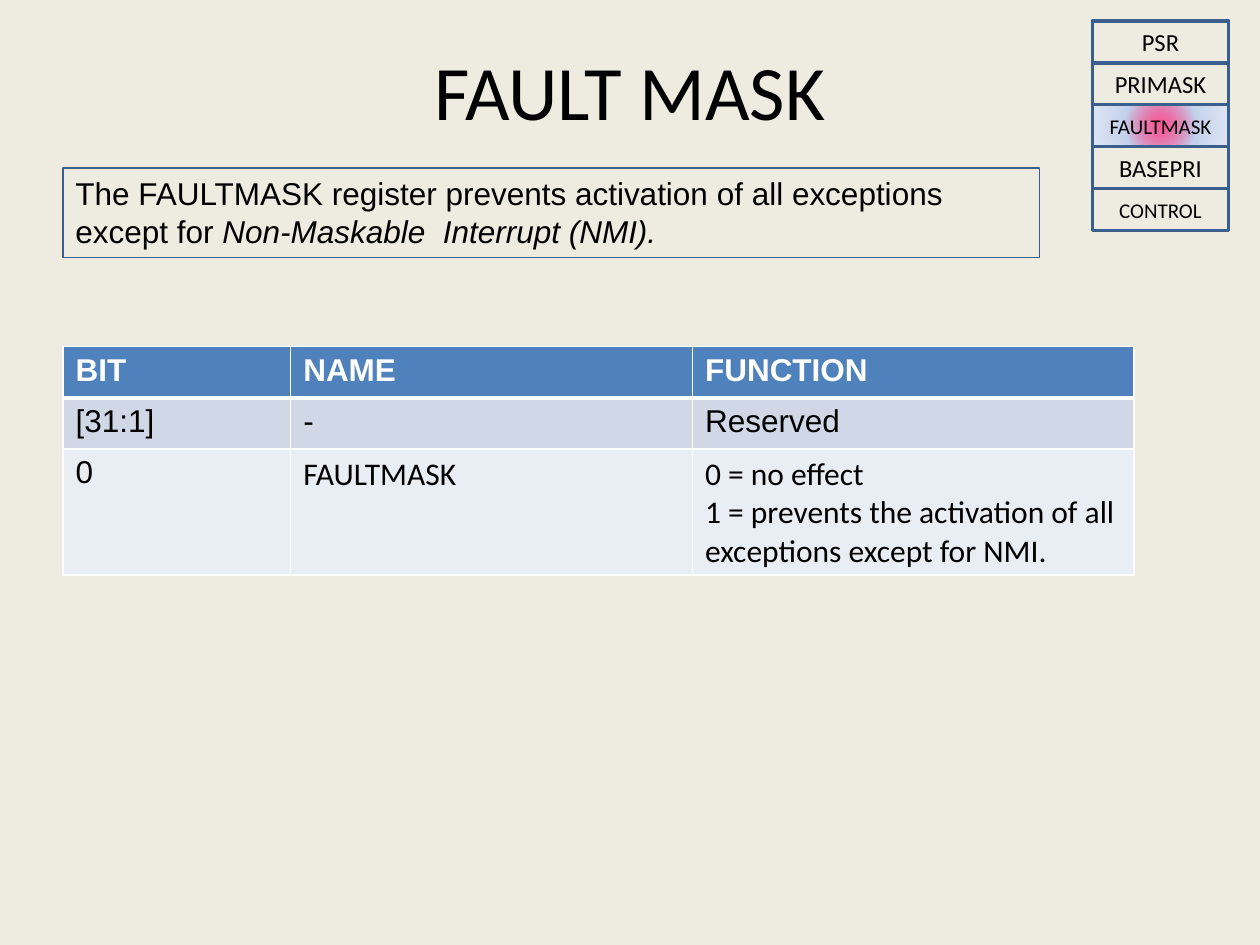
from lxml import etree
from pptx import Presentation
from pptx.dml.color import RGBColor
from pptx.enum import shapes, text
from pptx.oxml import parse_xml
from pptx.oxml.ns import nsdecls, qn
from pptx.util import Cm, Pt

EDGE = "3A5F8C"
GLOW = f"""<a:gradFill {nsdecls("a")} rotWithShape="1"><a:gsLst>
<a:gs pos="0"><a:srgbClr val="FF0066"><a:alpha val="62000"/></a:srgbClr></a:gs>
<a:gs pos="50000"><a:srgbClr val="C2D1ED"/></a:gs>
<a:gs pos="100000"><a:srgbClr val="E1E8F5"/></a:gs></a:gsLst>
<a:path path="circle"><a:fillToRect l="50000" t="50000" r="50000" b="50000"/></a:path>
</a:gradFill>"""


def rgb(code):
    return RGBColor.from_string(code)


def style(frame, size, face, tint="000000", bold=False, align=text.PP_ALIGN.LEFT):
    """Format every run of a text frame alike."""
    for para in frame.paragraphs:
        para.alignment = align
        for run in para.runs:
            font = run.font
            font.size, font.name, font.bold = Pt(size), face, bold
            font.color.rgb = rgb(tint)


def add_box(slide, x, y, w, h, line):
    """Add an unfilled rectangle with an outline of the given points."""
    box = slide.shapes.add_shape(
        shapes.MSO_SHAPE.RECTANGLE, Cm(x), Cm(y), Cm(w), Cm(h))
    box.shadow.inherit = False
    box.fill.background()
    box.line.color.rgb = rgb(EDGE)
    box.line.width = Pt(line)
    box.text_frame.word_wrap = True
    return box


def add_title(slide, x, y, w, h):
    frame = slide.shapes.add_textbox(Cm(x), Cm(y), Cm(w), Cm(h)).text_frame
    frame.word_wrap = True
    frame.vertical_anchor = text.MSO_ANCHOR.MIDDLE
    frame.text = "FAULT MASK"
    style(frame, 44, "Calibri", align=text.PP_ALIGN.CENTER)


def add_stack(slide, x, y, w, h):
    """Stack the special registers, with the current one glowing."""
    names = {"PSR": 14, "PRIMASK": 14, "FAULTMASK": 12,
             "BASEPRI": 14, "CONTROL": 12}
    step = h / len(names)
    for i, (name, size) in enumerate(names.items()):
        box = add_box(slide, x, y + i * step, w, step, 2)
        if name == "FAULTMASK":
            blank = box.fill._xPr.find(qn("a:noFill"))
            blank.getparent().replace(blank, parse_xml(GLOW))
        frame = box.text_frame
        frame.vertical_anchor = text.MSO_ANCHOR.MIDDLE
        frame.text = name
        style(frame, size, "Calibri", align=text.PP_ALIGN.CENTER)


def add_note(slide, x, y, w, h):
    frame = add_box(slide, x, y, w, h, 0.75).text_frame
    frame.vertical_anchor = text.MSO_ANCHOR.TOP
    frame.text = ("The FAULTMASK register prevents activation of all "
                  "exceptions except for ")
    term = frame.paragraphs[0].add_run()
    term.text = "Non-Maskable  Interrupt (NMI)."
    style(frame, 18, "Arial")
    term.font.italic = True


def add_rules(cell, base):
    """Give a cell white borders, with a base of the given points."""
    props = cell._tc.get_or_add_tcPr()
    for side, width in zip("LRTB", (1, 1, 1, base)):
        rule = etree.SubElement(props, qn(f"a:ln{side}"), w=str(Pt(width)))
        fill = etree.SubElement(rule, qn("a:solidFill"))
        etree.SubElement(fill, qn("a:srgbClr"), val="FFFFFF")


def add_bits(slide, x, y, cols, rows):
    """Add the table of register bits."""
    data = [("BIT", "NAME", "FUNCTION"),
            ("[31:1]", "-", "Reserved"),
            ("0", "FAULTMASK", "0 = no effect\n1 = prevents the activation "
             "of all exceptions except for NMI.")]
    fills = ["4F81BD", "D0D8E8", "E9EDF4"]
    table = slide.shapes.add_table(len(rows), len(cols), Cm(x), Cm(y),
                                   Cm(sum(cols)), Cm(sum(rows))).table
    for col, w in zip(table.columns, cols):
        col.width = Cm(w)
    for r, (row, h) in enumerate(zip(table.rows, rows)):
        row.height = Cm(h)
        head = r == 0
        for c, cell in enumerate(row.cells):
            add_rules(cell, 3 if head else 1)
            cell.fill.solid()
            cell.fill.fore_color.rgb = rgb(fills[r])
            cell.text_frame.text = data[r][c]
            face = "Calibri" if r == 2 and c > 0 else "Arial"
            style(cell.text_frame, 18, face,
                  "FFFFFF" if head else "000000", head)


def main():
    deck = Presentation()
    deck.slide_width, deck.slide_height = Cm(25.4), Cm(19.05)
    slide = deck.slides.add_slide(deck.slide_layouts[6])
    slide.background.fill.solid()
    slide.background.fill.fore_color.rgb = rgb("EEECE1")
    add_title(slide, 1.27, 0.43, 22.86, 2.74)
    add_stack(slide, 22.02, 0.42, 2.75, 4.23)
    add_note(slide, 1.27, 3.39, 19.69, 1.8)
    add_bits(slide, 1.27, 6.99, (4.59, 8.1, 8.9), (1.03, 1.03, 2.54))
    deck.save("out.pptx")


if __name__ == "__main__":
    main()
